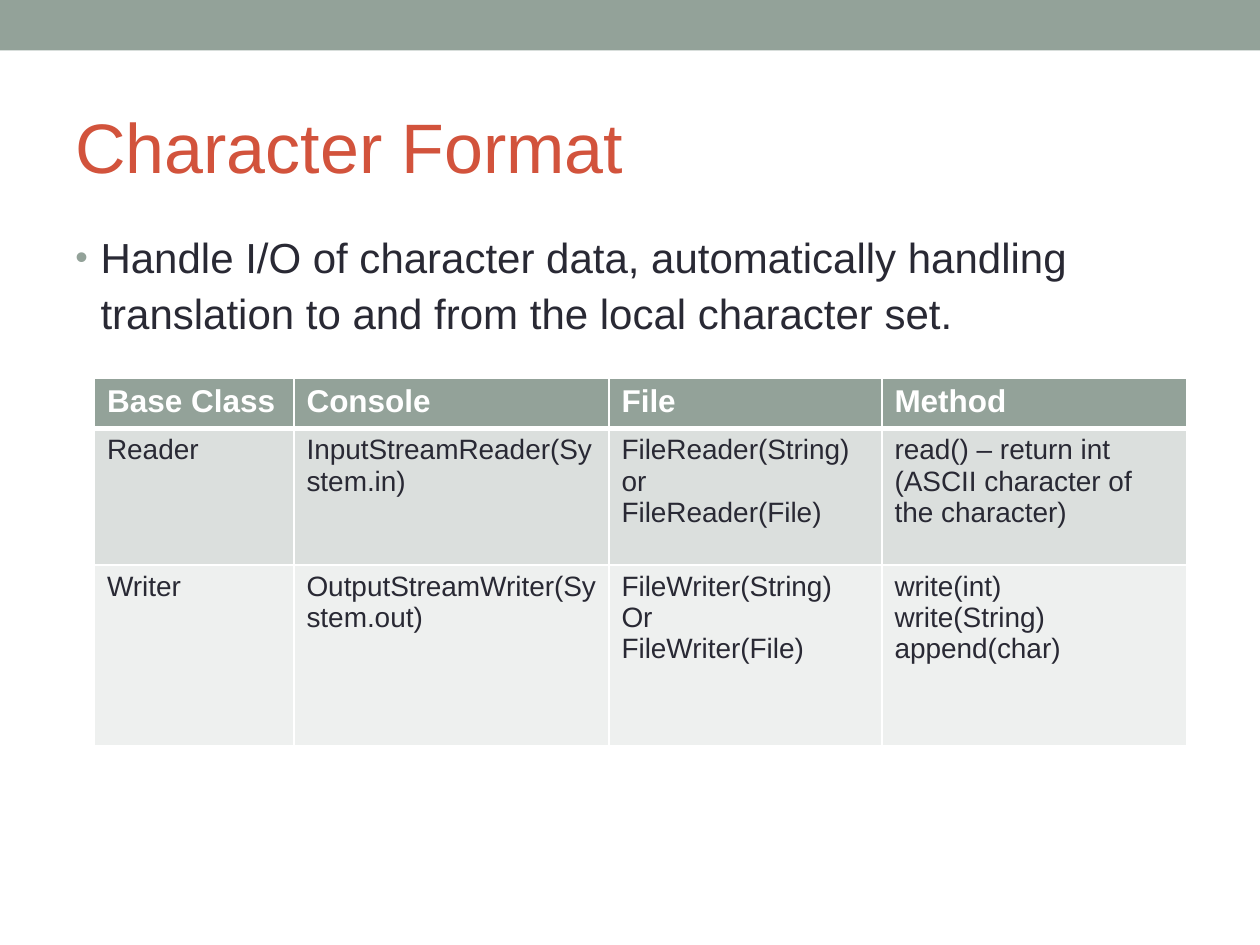
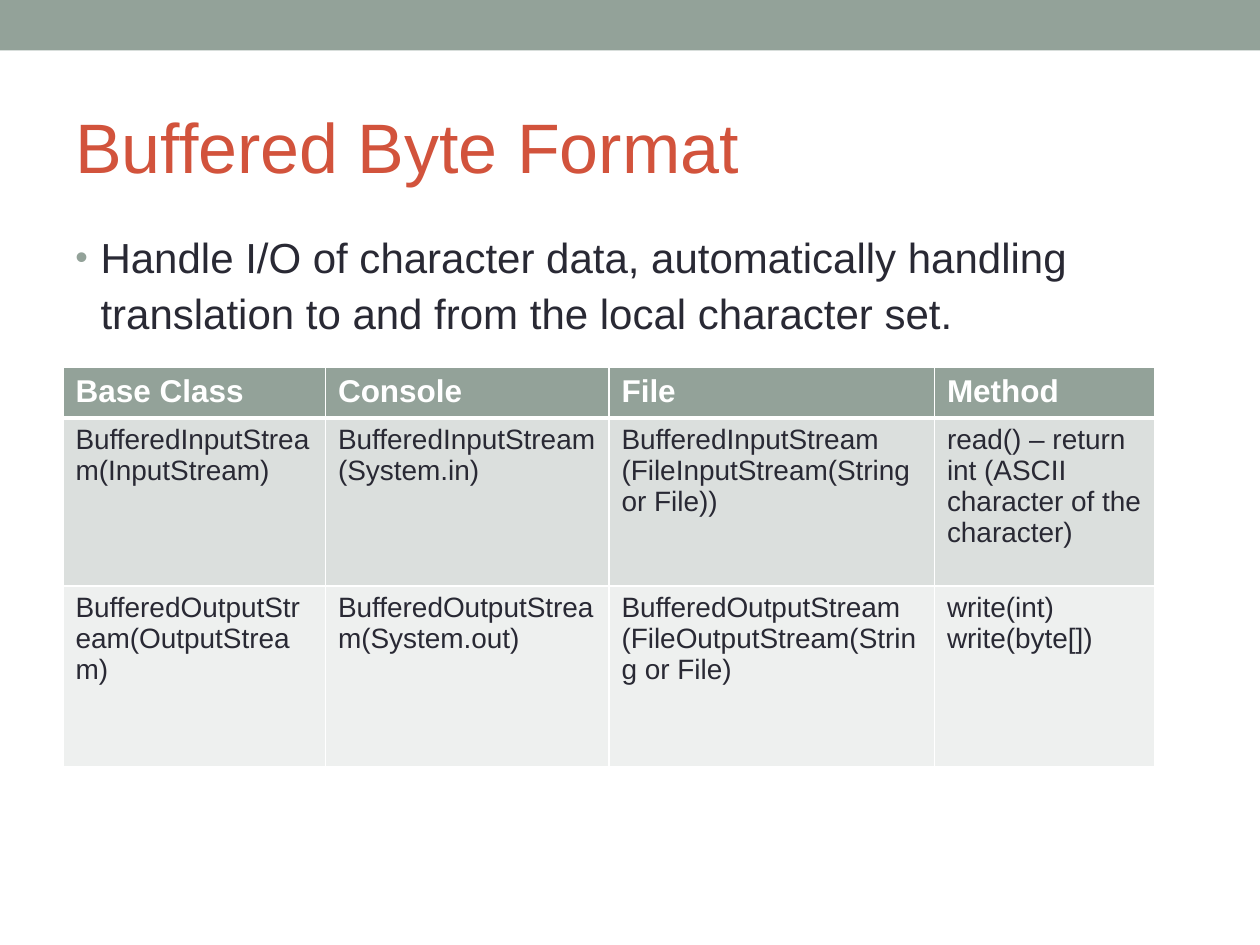
"""Build two slides on Java character and buffered byte formats."""
from lxml.etree import SubElement
from pptx import Presentation
from pptx.dml.color import RGBColor
from pptx.enum.shapes import MSO_SHAPE
from pptx.enum.text import MSO_ANCHOR
from pptx.oxml.ns import qn
from pptx.util import Inches, Pt

COLORS = {
    "band": "93A299", "title": "D2533C", "text": "292934", "white": "FFFFFF",
    "row_dark": "DBDFDD", "row_light": "EEF0EF",
}
FONT = "Arial"
COLS, ROWS = 120, 90
INTRO = ("Handle I/O of character data, automatically handling "
         "translation to and from the local character set.")
HEADER = ["Base Class", "Console", "File", "Method"]
READ = "read() – return int (ASCII character of the character)"


def rgb(name):
    return RGBColor.from_string(COLORS[name])


def add_bullet(p):
    pPr = p._p.get_or_add_pPr()
    pPr.set("marL", str(Inches(0.2)))
    pPr.set("indent", str(-Inches(0.2)))
    color = SubElement(pPr, qn("a:buClr"))
    SubElement(color, qn("a:srgbClr"), val=COLORS["band"])
    SubElement(pPr, qn("a:buSzPct"), val="85000")
    SubElement(pPr, qn("a:buFont"), typeface=FONT)
    SubElement(pPr, qn("a:buChar"), char="•")


def write(tf, text, size=16, color="text", bold=False, spacing=None, bullet=False):
    tf.word_wrap = True
    for i, line in enumerate(text.split("\n")):
        p = tf.paragraphs[0] if i == 0 else tf.add_paragraph()
        if spacing:
            p.line_spacing = spacing
        if bullet:
            add_bullet(p)
        r = p.add_run()
        r.text = line
        r.font.name, r.font.size, r.font.bold = FONT, Pt(size), bold
        r.font.color.rgb = rgb(color)


def set_borders(cell, **widths):
    tcPr = cell._tc.get_or_add_tcPr()
    for side in ("L", "R", "T", "B"):
        ln = SubElement(tcPr, qn(f"a:ln{side}"), w=str(Pt(widths.get(side, 1))))
        fill = SubElement(ln, qn("a:solidFill"))
        SubElement(fill, qn("a:srgbClr"), val=COLORS["white"])


class Deck:
    def __init__(self):
        self.prs = Presentation()
        self.prs.slide_width, self.prs.slide_height = Inches(10), Inches(7.5)
        self.s = None

    def x(self, cols):
        return round(self.prs.slide_width * cols / COLS)

    def y(self, rows):
        return round(self.prs.slide_height * rows / ROWS)

    def box(self, left, top, width, height):
        return self.x(left), self.y(top), self.x(width), self.y(height)

    def slide(self, title):
        self.s = self.prs.slides.add_slide(self.prs.slide_layouts[6])
        self.band()
        self.text((6, 7, 108, 13), title, anchor=MSO_ANCHOR.MIDDLE,
                  size=40, color="title")
        self.text((6, 21, 108, 64), INTRO, size=24, bullet=True)

    def band(self):
        sp = self.s.shapes.add_shape(MSO_SHAPE.RECTANGLE, *self.box(0, 0, COLS, 4.8))
        sp.shadow.inherit = False
        sp.fill.solid()
        sp.fill.fore_color.rgb = rgb("band")
        sp.line.fill.background()

    def text(self, area, text, anchor=MSO_ANCHOR.TOP, **style):
        tf = self.s.shapes.add_textbox(*self.box(*area)).text_frame
        tf.vertical_anchor = anchor
        write(tf, text, spacing=1.1, **style)

    def table(self, left, top, widths, heights, rows):
        area = self.box(left, top, sum(widths), sum(heights))
        table = self.s.shapes.add_table(len(heights), len(widths), *area).table
        for column, width in zip(table.columns, widths):
            column.width = self.x(width)
        for row, height in zip(table.rows, heights):
            row.height = self.y(height)
        fills = ["band", "row_dark", "row_light"]
        styles = [dict(size=18, color="white", bold=True), {}, {}]
        borders = [{"B": 3}, {"T": 3}, {}]
        for i, texts in enumerate([HEADER, *rows]):
            for j, text in enumerate(texts):
                cell = table.cell(i, j)
                set_borders(cell, **borders[i])
                cell.fill.solid()
                cell.fill.fore_color.rgb = rgb(fills[i])
                write(cell.text_frame, text, **styles[i])


def main():
    deck = Deck()
    deck.slide("Character Format")
    deck.table(9, 36, [19, 30, 26, 29], [4.5, 13, 17.2], [
        ["Reader", "InputStreamReader(System.in)",
         "FileReader(String)\nor\nFileReader(File)", READ],
        ["Writer", "OutputStreamWriter(System.out)",
         "FileWriter(String)\nOr\nFileWriter(File)",
         "write(int)\nwrite(String)\nappend(char)"],
    ])
    deck.slide("Buffered Byte Format")
    deck.table(6, 35, [25, 27, 31, 21], [4.5, 16, 17.2], [
        ["BufferedInputStream(InputStream)", "BufferedInputStream\n(System.in)",
         "BufferedInputStream\n(FileInputStream(String or File))", READ],
        ["BufferedOutputStream(OutputStream)", "BufferedOutputStream(System.out)",
         "BufferedOutputStream\n(FileOutputStream(String or File)",
         "write(int)\nwrite(byte[])"],
    ])
    deck.prs.save("out.pptx")


if __name__ == "__main__":
    main()
